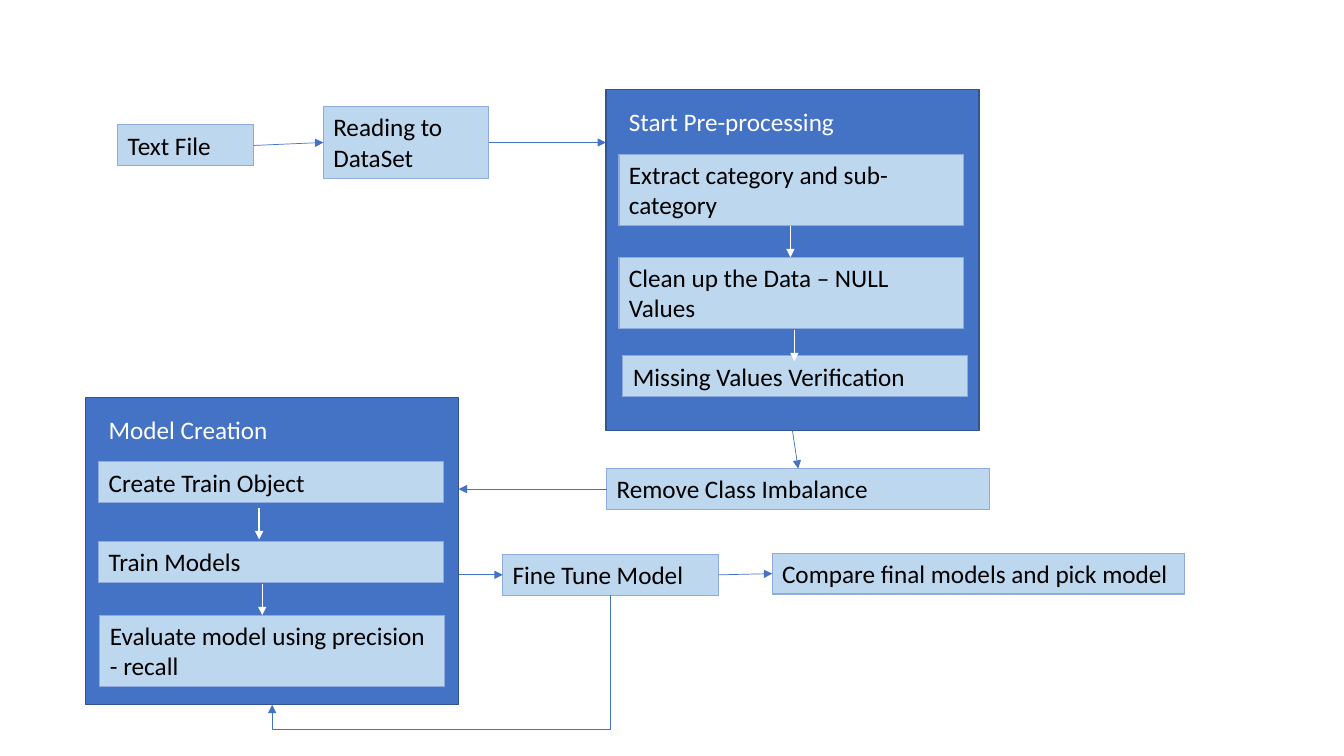
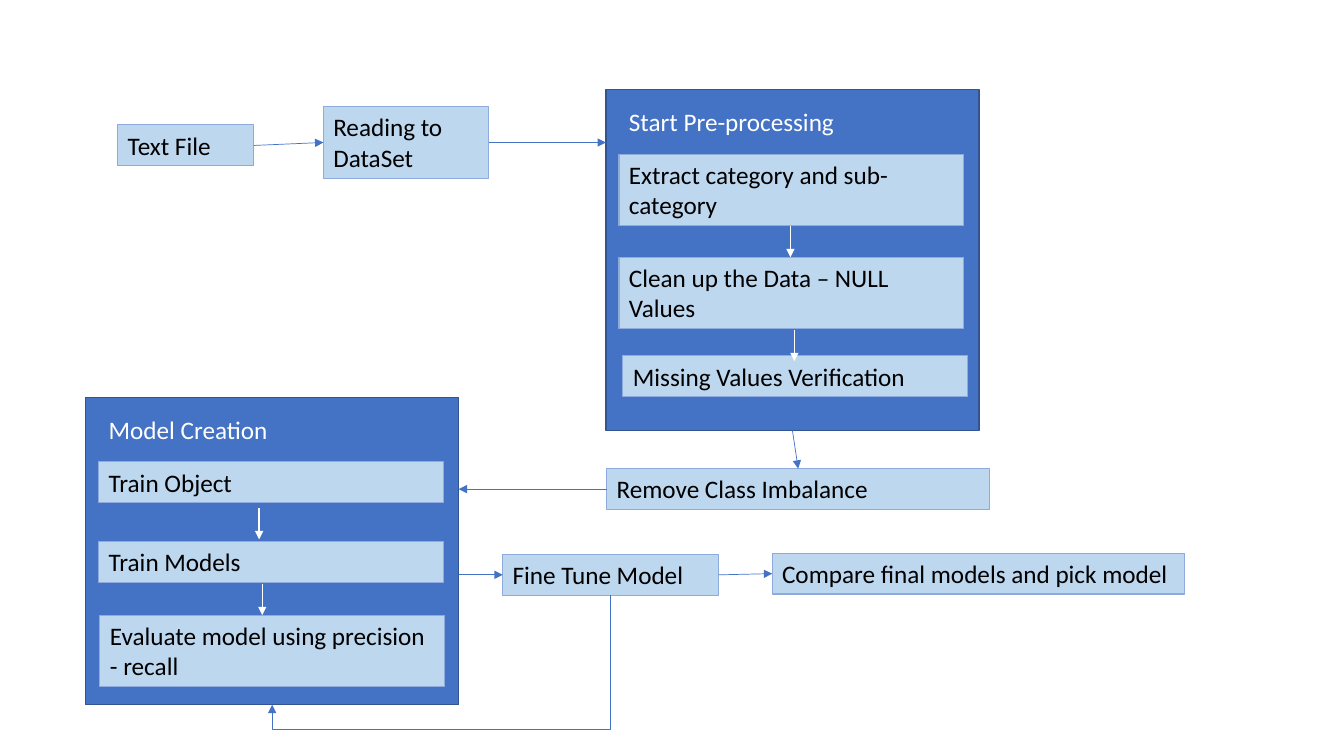
from lxml import etree
from pptx import Presentation
from pptx import util as u
from pptx.dml.color import RGBColor
from pptx.enum import shapes as es, text as et
from pptx.oxml.ns import qn

COLORS = {"panel": "4472C4", "panel_edge": "325491", "box": "BDD7EE",
          "box_edge": "8FAADC", "black": "000000", "white": "FFFFFF"}
FONT = "Calibri"
ONE_LINE, TWO_LINES = 1.03, 1.8   # box heights in cm
PANEL_W, STEP_W, TITLE_W = 9.4, 8.69, 8.26
STEP_ARROW = 0.79


def rgb(name):
    return RGBColor.from_string(COLORS[name])


# Basic parts
def add_text(shapes, text, x, y, w, h=ONE_LINE, size=18, color="black",
             fill="box", edge="box_edge"):
    sp = shapes.add_textbox(u.Cm(x), u.Cm(y), u.Cm(w), u.Cm(h))
    sp.fill.solid()
    sp.fill.fore_color.rgb = rgb(fill)
    if edge:
        sp.line.color.rgb = rgb(edge)
        sp.line.width = u.Pt(0.75)
    tf = sp.text_frame
    tf.word_wrap = True
    tf.auto_size = et.MSO_AUTO_SIZE.SHAPE_TO_FIT_TEXT
    r = tf.paragraphs[0].add_run()
    r.text = text
    r.font.name, r.font.size = FONT, u.Pt(size)
    r.font.color.rgb = rgb(color)
    return sp


def add_arrow(shapes, start, end, color="panel", width=0.5,
              kind=es.MSO_CONNECTOR.STRAIGHT):
    c = shapes.add_connector(kind, *start, *end)
    c.line.color.rgb = rgb(color)
    c.line.width = u.Pt(width)
    etree.SubElement(c.line._get_or_add_ln(), qn("a:tailEnd"), type="triangle")
    etree.SubElement(c._element.spPr, qn("a:effectLst"))
    return c


def add_return_arrow(shapes, start, end, drop):
    """Leave start downwards, run left below end, then point up to it."""
    c = add_arrow(shapes, start, end, kind=es.MSO_CONNECTOR.ELBOW)
    run, rise = start[0] - end[0], end[1] - start[1]
    # The preset leaves sideways, so its frame is turned by 90 degrees
    xfrm = c._element.spPr.find(qn("a:xfrm"))
    for flip in ("flipH", "flipV"):
        xfrm.attrib.pop(flip, None)
    xfrm.set("rot", str(90 * 60000))
    c.left = (start[0] + end[0] - rise) // 2
    c.top = (start[1] + end[1] - run) // 2
    c.width, c.height = rise, run
    geom = c._element.spPr.find(qn("a:prstGeom"))
    guides = geom.find(qn("a:avLst"))
    if guides is None:
        guides = etree.SubElement(geom, qn("a:avLst"))
    bend = round(100000 * (rise + drop) / rise)
    etree.SubElement(guides, qn("a:gd"), name="adj1", fmla=f"val {bend}")


def at(sp, side):
    """Middle of one side of a shape."""
    fx, fy = {"left": (0, 0.5), "right": (1, 0.5),
              "top": (0.5, 0), "bottom": (0.5, 1)}[side]
    return int(sp.left + fx * sp.width), int(sp.top + fy * sp.height)


# Dark panel with a title, steps (text, dx, dy, height) and arrows (dx, dy)
def add_panel(shapes, x, y, h, title, steps, arrows):
    sp = shapes.add_shape(es.MSO_SHAPE.RECTANGLE, u.Cm(x), u.Cm(y),
                          u.Cm(PANEL_W), u.Cm(h))
    sp.shadow.inherit = False
    sp.fill.solid()
    sp.fill.fore_color.rgb = rgb("panel")
    sp.line.color.rgb = rgb("panel_edge")
    sp.line.width = u.Pt(1)
    add_text(shapes, title, x + 0.33, y + 0.3, TITLE_W, color="white",
             fill="panel", edge=None)
    for text, dx, dy, height in steps:
        add_text(shapes, text, x + dx, y + dy, STEP_W, height)
    for dx, dy in arrows:
        add_arrow(shapes, (u.Cm(x + dx), u.Cm(y + dy)),
                  (u.Cm(x + dx), u.Cm(y + dy + STEP_ARROW)), "white", 1)
    return sp


# Whole flow, placed from its top left corner
def add_flow(shapes, x, y, first_step):
    pre = add_panel(
        shapes, x + 13.11, y, 8.59, "Start Pre-processing",
        [("Extract category and sub-category", 0.33, 1.63, TWO_LINES),
         ("Clean up the Data – NULL Values", 0.33, 4.22, TWO_LINES),
         ("Missing Values Verification", 0.43, 6.71, ONE_LINE)],
        [(4.65, 3.43), (4.75, 6.05)])
    model = add_panel(
        shapes, x, y + 7.75, 7.75, "Model Creation",
        [(first_step, 0.33, 1.63, ONE_LINE),
         ("Train Models", 0.33, 3.63, ONE_LINE),
         ("Evaluate model using precision - recall", 0.36, 5.49, TWO_LINES)],
        [(4.37, 2.79), (4.45, 4.7)])

    source = add_text(shapes, "Text File", x + 0.81, y + 0.89, 3.43)
    reading = add_text(shapes, "Reading to DataSet", x + 5.99, y + 0.43, 4.17,
                       TWO_LINES)
    balance = add_text(shapes, "Remove Class Imbalance", x + 13.13, y + 9.55, 9.65)
    tune = add_text(shapes, "Fine Tune Model", x + 10.51, y + 11.71, 5.44)
    compare = add_text(shapes, "Compare final models and pick model",
                       x + 17.3, y + 11.68, 10.39)

    # Arrows between the parts; those at a panel's side stay level
    add_arrow(shapes, at(source, "right"), at(reading, "left"))
    add_arrow(shapes, at(reading, "right"), (pre.left, at(reading, "right")[1]))
    add_arrow(shapes, at(pre, "bottom"), at(balance, "top"))
    model_right = model.left + model.width
    add_arrow(shapes, at(balance, "left"), (model_right, at(balance, "left")[1]))
    add_arrow(shapes, (model_right, at(tune, "left")[1]), at(tune, "left"))
    add_arrow(shapes, at(tune, "right"), at(compare, "left"))
    add_return_arrow(shapes, at(tune, "bottom"), at(model, "bottom"), u.Cm(0.63))


prs = Presentation()
prs.slide_width, prs.slide_height = u.Cm(33.87), u.Cm(19.05)
blank = prs.slide_layouts[6]

s = prs.slides.add_slide(blank)
add_flow(s.shapes, 2.16, 2.26, "Create Train Object")

# The second flow is one group
s = prs.slides.add_slide(blank)
add_flow(s.shapes.add_group_shape().shapes, 2.16, 2.26, "Train Object")

prs.save("out.pptx")
